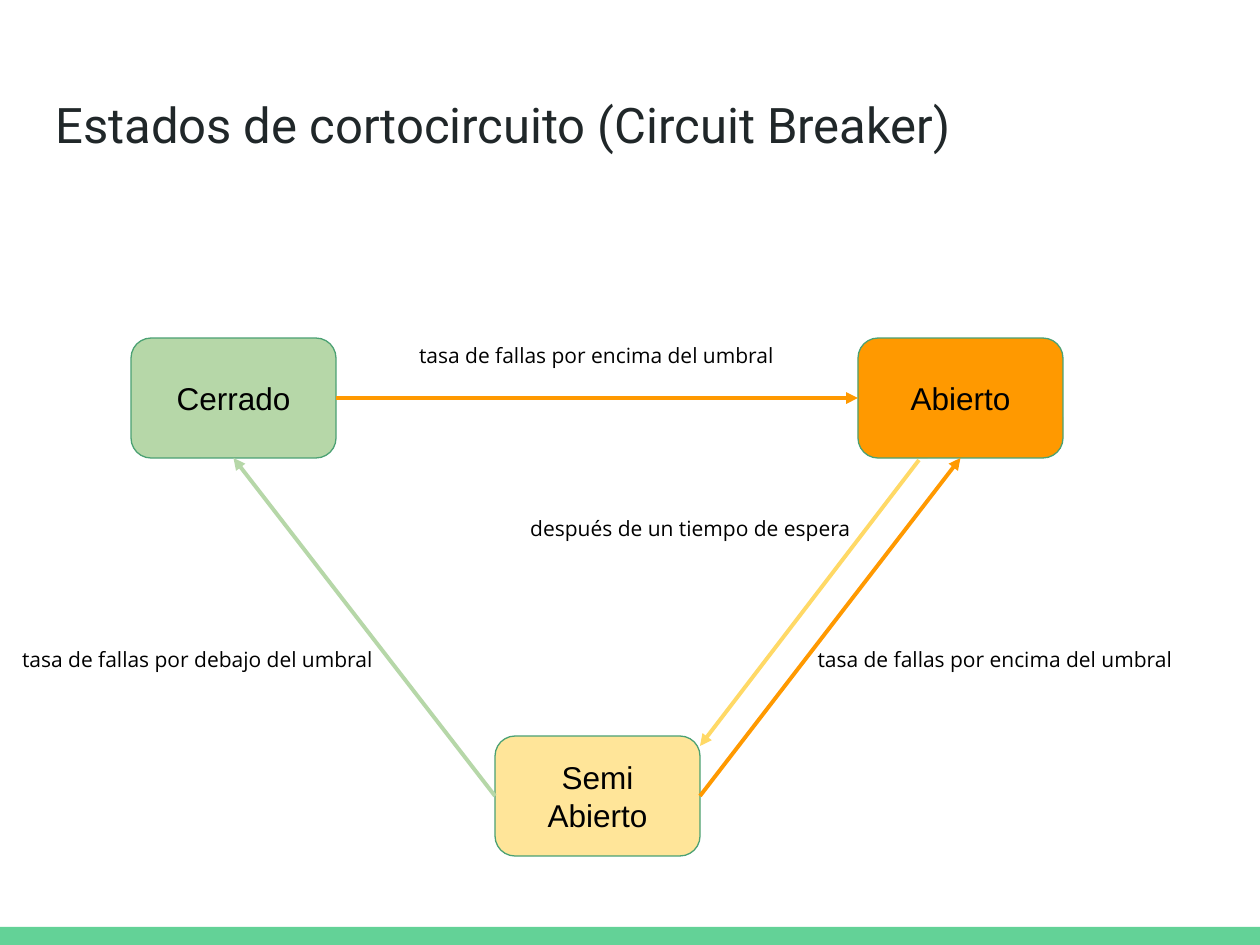
from typing import NamedTuple, Optional

from lxml.etree import SubElement
from pptx import Presentation
from pptx.dml.color import RGBColor
from pptx.enum.shapes import MSO_CONNECTOR, MSO_SHAPE
from pptx.enum.text import MSO_ANCHOR as Anchor, PP_ALIGN as Align
from pptx.oxml.ns import qn
from pptx.util import Emu, Inches, Pt

PX_PER_INCH = 126
STATE_WIDTH, STATE_HEIGHT = 205, 120
LABEL_HEIGHT = 50
TOP, LEFT, BOTTOM, RIGHT = range(4)
ORANGE, GREEN, YELLOW = "FF9900", "B6D7A8", "FFD966"


class State(NamedTuple):
    lines: list[str]
    x: int
    y: int
    fill: str


class Transition(NamedTuple):
    color: str
    begin: tuple[int, int]
    end: tuple[int, int]
    begin_join: Optional[tuple[str, int]] = None
    end_join: Optional[tuple[str, int]] = None


class Label(NamedTuple):
    text: str
    x: int
    y: int
    width: int


STATES = {
    "closed": State(["Cerrado"], 131, 338, GREEN),
    "open": State(["Abierto"], 858, 338, ORANGE),
    "half open": State(["Semi", "Abierto"], 495, 736, "FFE599"),
}
TRANSITIONS = [
    Transition(ORANGE, (336, 398), (858, 398), ("closed", RIGHT), ("open", LEFT)),
    Transition(GREEN, (495, 796), (234, 458), ("half open", LEFT), ("closed", BOTTOM)),
    Transition(ORANGE, (700, 796), (961, 458), ("half open", RIGHT), ("open", BOTTOM)),
    Transition(YELLOW, (919, 460), (700, 746)),
]
LABELS = [
    Label("tasa de fallas por encima del umbral", 366, 330, 461),
    Label("después de un tiempo de espera", 509, 503, 363),
    Label("tasa de fallas por encima del umbral", 803, 634, 384),
    Label("tasa de fallas por debajo del umbral", 0, 634, 395),
]


def px(length: int) -> Emu:
    return Emu(round(length * 914400 / PX_PER_INCH))


def rgb(color: str) -> RGBColor:
    return RGBColor.from_string(color)


def write(shape, lines: list[str], font: str, size: int, color: str = "000000",
          align=Align.CENTER, anchor=Anchor.TOP) -> None:
    """Fill a shape with one paragraph per line."""
    frame = shape.text_frame
    frame.word_wrap = True
    frame.vertical_anchor = anchor
    frame.margin_left = frame.margin_right = Inches(0.1)
    frame.margin_top = frame.margin_bottom = Inches(0.1)
    for index, line in enumerate(lines):
        para = frame.add_paragraph() if index else frame.paragraphs[0]
        para.alignment = align
        span = para.add_run()
        span.text = line
        span.font.name = font
        span.font.size = Pt(size)
        span.font.color.rgb = rgb(color)


def add_block(page, kind, x: int, y: int, width: int, height: int, fill: str):
    block = page.shapes.add_shape(kind, px(x), px(y), px(width), px(height))
    block.shadow.inherit = False
    block.fill.solid()
    block.fill.fore_color.rgb = rgb(fill)
    return block


def add_state(page, state: State):
    box = add_block(page, MSO_SHAPE.ROUNDED_RECTANGLE, state.x, state.y,
                    STATE_WIDTH, STATE_HEIGHT, state.fill)
    box.line.color.rgb = rgb("4BA173")
    box.line.width = Pt(0.75)
    write(box, state.lines, "Arial", 18, anchor=Anchor.MIDDLE)
    return box


def add_text(page, x: int, y: int, width: int, height: int):
    return page.shapes.add_textbox(px(x), px(y), px(width), px(height))


def add_transition(page, transition: Transition, boxes: dict) -> None:
    arrow = page.shapes.add_connector(
        MSO_CONNECTOR.STRAIGHT, *map(px, transition.begin + transition.end))
    if transition.begin_join:
        name, side = transition.begin_join
        arrow.begin_connect(boxes[name], side)
    if transition.end_join:
        name, side = transition.end_join
        arrow.end_connect(boxes[name], side)
    arrow.line.color.rgb = rgb(transition.color)
    arrow.line.width = Pt(2.25)
    SubElement(arrow.line._get_or_add_ln(), qn("a:tailEnd"), type="triangle")
    SubElement(arrow._element.spPr, qn("a:effectLst"))


def main() -> None:
    deck = Presentation()
    deck.slide_width, deck.slide_height = px(1260), px(945)
    page = deck.slides.add_slide(deck.slide_layouts[6])

    footer = add_block(page, MSO_SHAPE.RECTANGLE, 0, 927, 1260, 18, "63D297")
    footer.line.fill.background()
    title = add_text(page, 43, 82, 1174, 105)
    write(title, ["Estados de cortocircuito (Circuit Breaker)"], "Roboto", 28,
          "202729", Align.LEFT)

    boxes = {name: add_state(page, state) for name, state in STATES.items()}
    for transition in TRANSITIONS:
        add_transition(page, transition, boxes)
    for label in LABELS:
        box = add_text(page, label.x, label.y, label.width, LABEL_HEIGHT)
        write(box, [label.text], "Open Sans", 12)

    deck.save("out.pptx")


if __name__ == "__main__":
    main()
